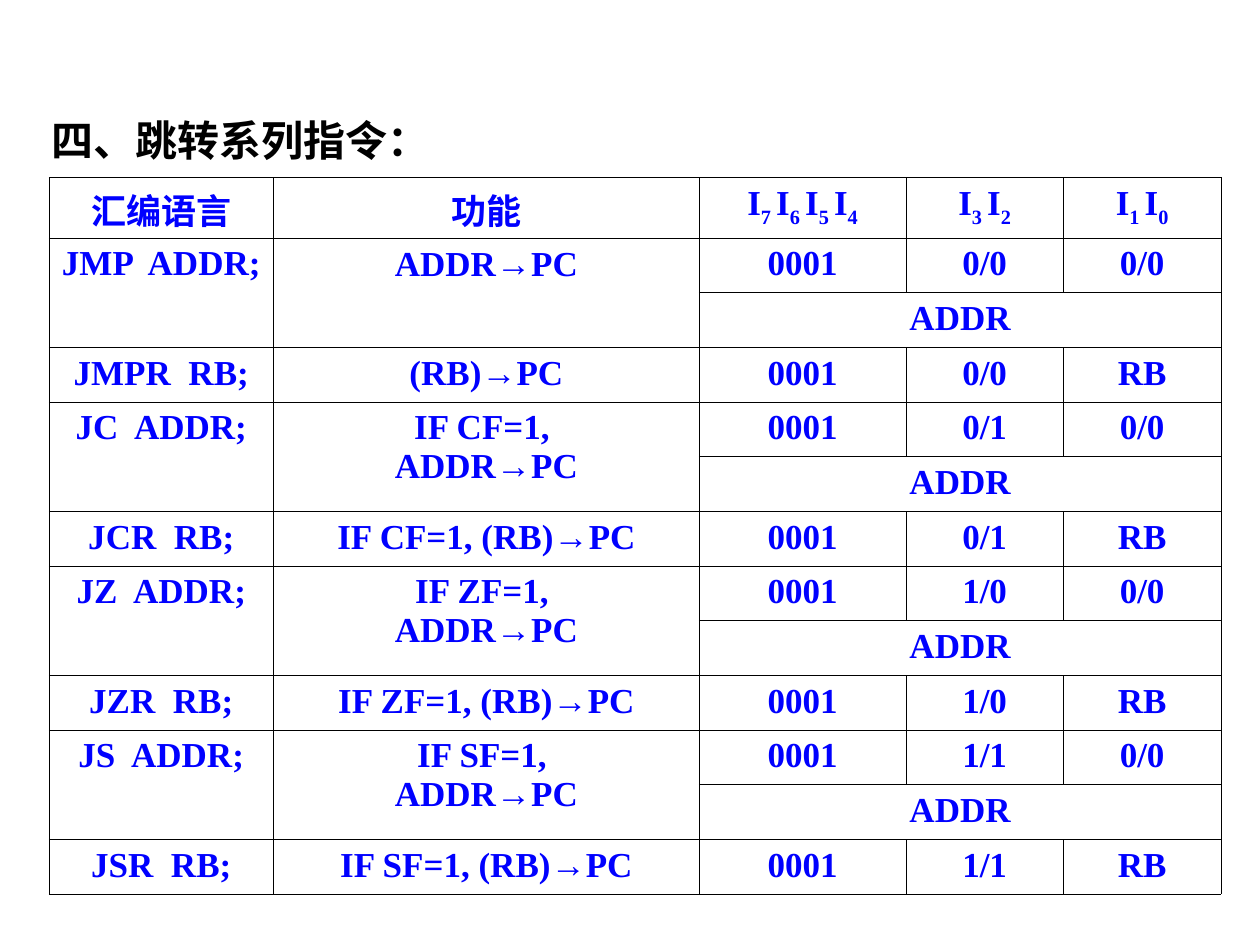
import itertools

import pptx
import pptx.enum.text
import pptx.oxml
import pptx.oxml.ns
import pptx.util
from pptx.util import Inches

HUES = {"title": "000000", "text": "0000FF", "line": "000000"}
FONT = "Times New Roman"


def style(run, size, hue, face=FONT):
    run.font.size = pptx.util.Pt(size)
    run.font.bold = True
    run.font.name = face
    run.font.color.rgb = pptx.dml.color.RGBColor.from_string(HUES[hue])


def fill(cell, text, low=False):
    """Write centred lines; arrows turn Arial, and with low all but "I" is subscript."""
    frame = cell.text_frame
    for num, line in enumerate(text.split("\n")):
        para = frame.add_paragraph() if num else frame.paragraphs[0]
        para.alignment = pptx.enum.text.PP_ALIGN.CENTER
        for odd, part in itertools.groupby(line, lambda c: c == "→" or low and c != "I"):
            run = para.add_run()
            run.text = "".join(part)
            style(run, 20, "text", "Arial" if odd and not low else FONT)
            if odd and low:
                run.font._element.set("baseline", "-25000")


deck = pptx.Presentation()
deck.slide_width, deck.slide_height = Inches(10), Inches(7.5)
slide = deck.slides.add_slide(deck.slide_layouts[5])

title = slide.shapes.title
title.left, title.top = Inches(0.31), Inches(0.86)
title.width, title.height = Inches(7.73), Inches(0.5)
frame = title.text_frame
frame.text = "四、跳转系列指令："
frame.word_wrap = True
frame.auto_size = pptx.enum.text.MSO_AUTO_SIZE.SHAPE_TO_FIT_TEXT
frame.vertical_anchor = pptx.enum.text.MSO_ANCHOR.TOP
frame.paragraphs[0].alignment = pptx.enum.text.PP_ALIGN.LEFT
style(frame.paragraphs[0].runs[0], 24, "title")

# Name, condition and I3 I2 bits of each pair of jumps
jumps = [
    ("JMP", "", "0/0"),
    ("JC", "IF CF=1, ", "0/1"),
    ("JZ", "IF ZF=1, ", "1/0"),
    ("JS", "IF SF=1, ", "1/1"),
]
widths = [1.78, 3.38, 1.64, 1.25, 1.25]
count = 1 + 3 * len(jumps)
head, body = 0.48, 5.2
table = slide.shapes.add_table(
    count, len(widths), Inches(0.39), Inches(1.41),
    Inches(sum(widths)), Inches(head + body),
).table
table.first_row = table.horz_banding = False
for col, width in zip(table.columns, widths):
    col.width = Inches(width)
for num, row in enumerate(table.rows):
    row.height = Inches(body / (count - 1) if num else head)

for cell in table.iter_cells():
    cell.margin_left = cell.margin_right = Inches(0.08)
    cell.margin_top = cell.margin_bottom = Inches(0.05)
    props = cell._tc.get_or_add_tcPr()
    for side in "LRTB":
        props.append(pptx.oxml.parse_xml(
            f'<a:ln{side} {pptx.oxml.ns.nsdecls("a")} w="{pptx.util.Pt(0.45)}">'
            f'<a:solidFill><a:srgbClr val="{HUES["line"]}"/></a:solidFill></a:ln{side}>'
        ))
    cell.fill.background()

heads = ["汇编语言", "功能", "I7 I6 I5 I4", "I3 I2", "I1 I0"]
for col, text in enumerate(heads):
    fill(table.cell(0, col), text, low=col > 1)

for num, (name, test, bits) in enumerate(jumps):
    top = 1 + 3 * num
    for col in (0, 1):
        table.cell(top, col).merge(table.cell(top + 1, col))
    table.cell(top + 1, 2).merge(table.cell(top + 1, 4))
    fill(table.cell(top + 1, 2), "ADDR")
    goal = f"{test}\nADDR→PC" if test else "ADDR→PC"
    direct = [f"{name}  ADDR;", goal, "0001", bits, "0/0"]
    byreg = [f"{name}R  RB;", f"{test}(RB)→PC", "0001", bits, "RB"]
    for row, texts in ((top, direct), (top + 2, byreg)):
        for col, text in enumerate(texts):
            fill(table.cell(row, col), text)

deck.save("out.pptx")
